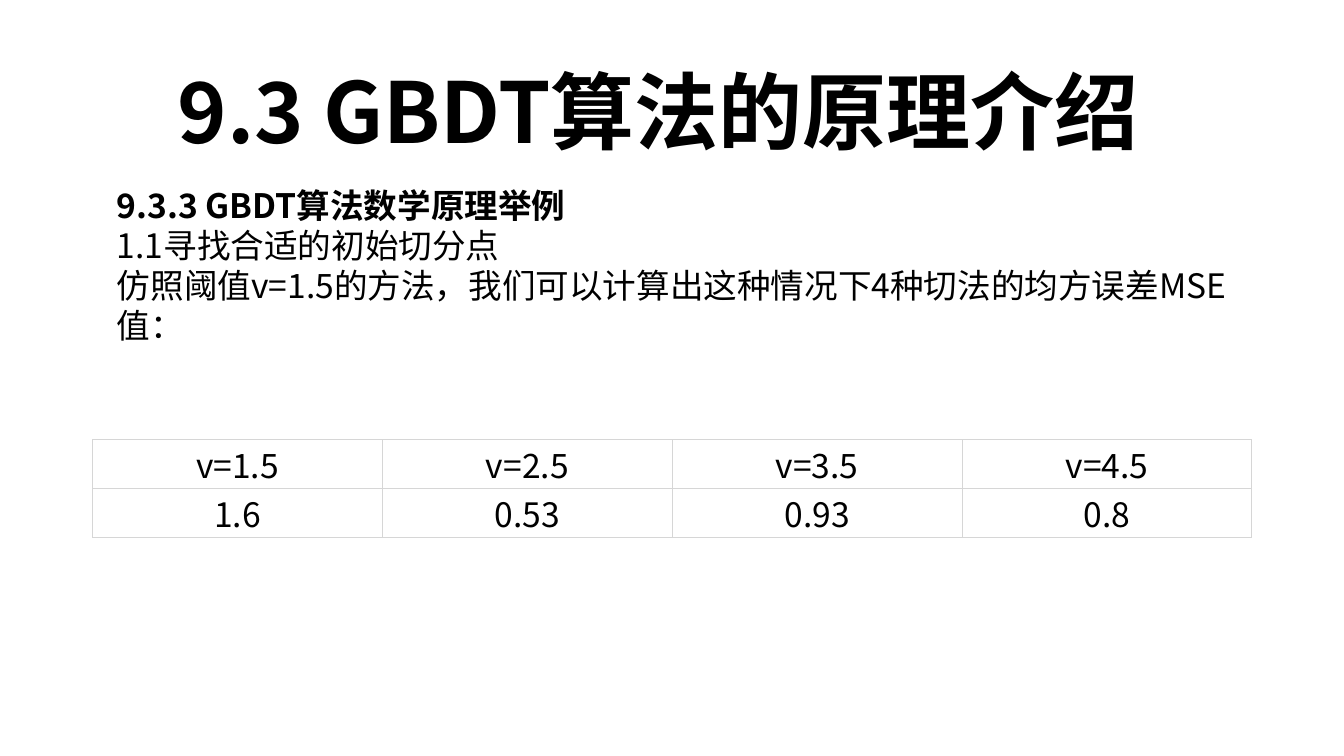
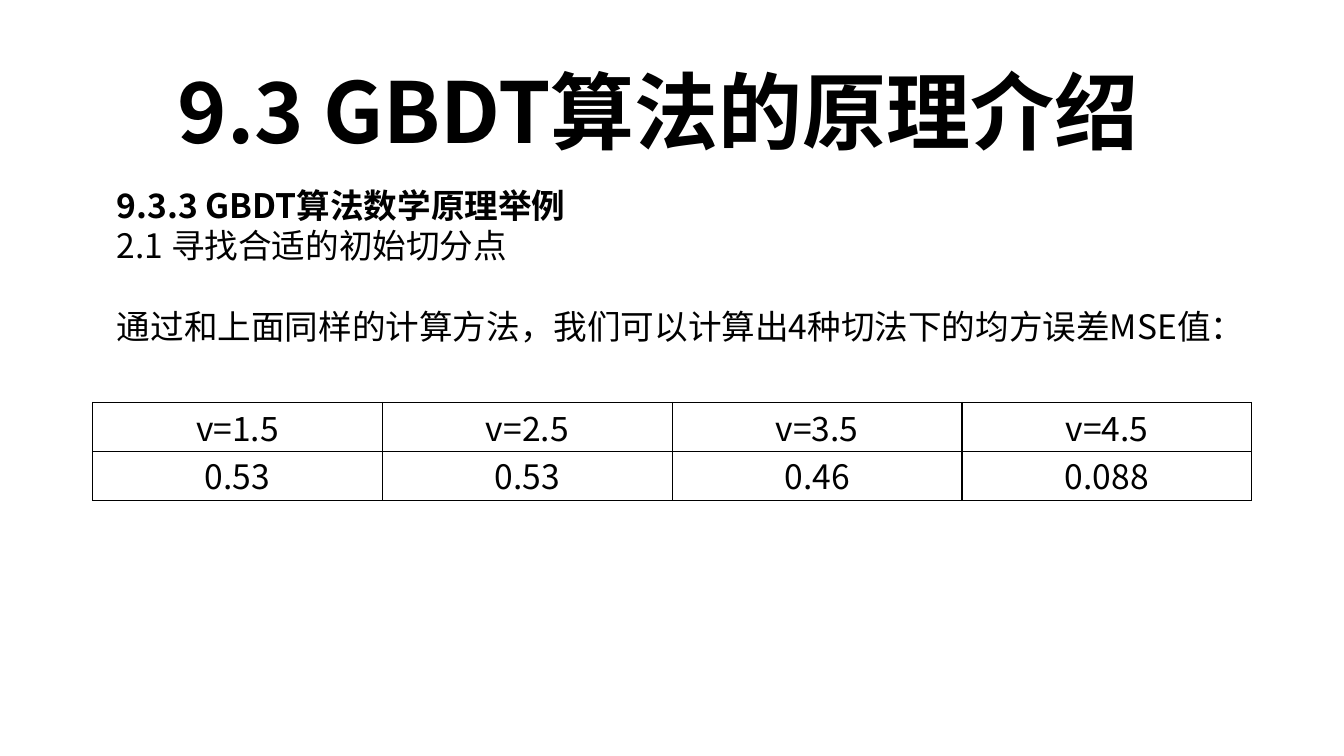
from pptx import Presentation
from pptx.dml.color import RGBColor
from pptx.enum.text import MSO_AUTO_SIZE, PP_ALIGN
from pptx.oxml import parse_xml
from pptx.oxml.ns import nsdecls
from pptx.util import Pt

FONT = "Noto Sans CJK SC"
COLORS = {"text": "000000", "paper": "FFFFFF", "grid": "D6D6D6"}
TITLE_SIZE, BODY_SIZE = 60, 24
LINE_RATIO = 1.2
TITLE_BOX = (120, 38.9, 720, 80)
BODY_LEFT, BODY_TOP, BODY_WIDTH = 76.4, 128.2, 807
TABLE_LEFT, TABLE_WIDTH, ROW_HEIGHT = 66.2, 828, 34.9

TITLE = "9.3 GBDT算法的原理介绍"
SECTION = "9.3.3 GBDT算法数学原理举例"
THRESHOLDS = ["v=1.5", "v=2.5", "v=3.5", "v=4.5"]
SLIDES = [
    {
        "step": "1.1寻找合适的初始切分点",
        "text": "仿照阈值v=1.5的方法，我们可以计算出这种情况下4种切法的均方误差MSE值：",
        "text_gap": 0,
        "body_height": 124,
        "errors": ["1.6", "0.53", "0.93", "0.8"],
        "table_top": 314,
        "border": ("grid", 0.75),
        "fill": "paper",
    },
    {
        "step": "2.1 寻找合适的初始切分点",
        "text": "通过和上面同样的计算方法，我们可以计算出4种切法下的均方误差MSE值：",
        "text_gap": BODY_SIZE * LINE_RATIO,
        "body_height": 240,
        "errors": ["0.53", "0.53", "0.46", "0.088"],
        "table_top": 287.5,
        "border": ("text", 1),
        "fill": None,
    },
]


def rgb(key):
    return RGBColor.from_string(COLORS[key])


def write(paragraph, text, size=BODY_SIZE, bold=False):
    paragraph.line_spacing = Pt(size * LINE_RATIO)
    run = paragraph.add_run()
    run.text = text
    font = run.font
    font.size, font.bold, font.name = Pt(size), bold, FONT
    font.color.rgb = rgb("text")
    # East Asian characters need their own typeface entry
    latin = font._element.find("{*}latin")
    latin.addnext(parse_xml(f'<a:ea {nsdecls("a")} typeface="{FONT}"/>'))


def add_text_frame(slide, box, wrap):
    frame = slide.shapes.add_textbox(*map(Pt, box)).text_frame
    frame.word_wrap = wrap
    frame.auto_size = MSO_AUTO_SIZE.SHAPE_TO_FIT_TEXT
    return frame


def set_borders(cell, color, width):
    properties = cell._tc.get_or_add_tcPr()
    for index, side in enumerate(("lnL", "lnR", "lnT", "lnB")):
        properties.insert(index, parse_xml(
            f'<a:{side} {nsdecls("a")} w="{Pt(width)}"><a:solidFill>'
            f'<a:srgbClr val="{COLORS[color]}"/></a:solidFill></a:{side}>'))


def add_error_table(slide, content):
    rows = [THRESHOLDS, content["errors"]]
    columns = len(THRESHOLDS)
    table = slide.shapes.add_table(
        len(rows), columns, Pt(TABLE_LEFT), Pt(content["table_top"]),
        Pt(TABLE_WIDTH), Pt(ROW_HEIGHT * len(rows))).table
    table.first_row = table.horz_banding = False
    for column in table.columns:
        column.width = Pt(TABLE_WIDTH / columns)
    for r, values in enumerate(rows):
        table.rows[r].height = Pt(ROW_HEIGHT)
        for c, value in enumerate(values):
            cell = table.cell(r, c)
            cell.margin_left = cell.margin_right = cell.margin_bottom = 0
            cell.margin_top = Pt(5.8)
            if content["fill"]:
                cell.fill.solid()
                cell.fill.fore_color.rgb = rgb(content["fill"])
            else:
                cell.fill.background()
            set_borders(cell, *content["border"])
            paragraph = cell.text_frame.paragraphs[0]
            paragraph.alignment = PP_ALIGN.CENTER
            write(paragraph, value)


def add_slide(deck, content):
    slide = deck.slides.add_slide(deck.slide_layouts[6])
    title = add_text_frame(slide, TITLE_BOX, wrap=False)
    write(title.paragraphs[0], TITLE, TITLE_SIZE, bold=True)

    body = add_text_frame(
        slide, (BODY_LEFT, BODY_TOP, BODY_WIDTH, content["body_height"]), wrap=True)
    write(body.paragraphs[0], SECTION, bold=True)
    write(body.add_paragraph(), content["step"])
    explanation = body.add_paragraph()
    explanation.space_before = Pt(content["text_gap"])
    write(explanation, content["text"])

    add_error_table(slide, content)


def main():
    deck = Presentation()
    deck.slide_width, deck.slide_height = Pt(960), Pt(540)
    for content in SLIDES:
        add_slide(deck, content)
    deck.save("out.pptx")


if __name__ == "__main__":
    main()
